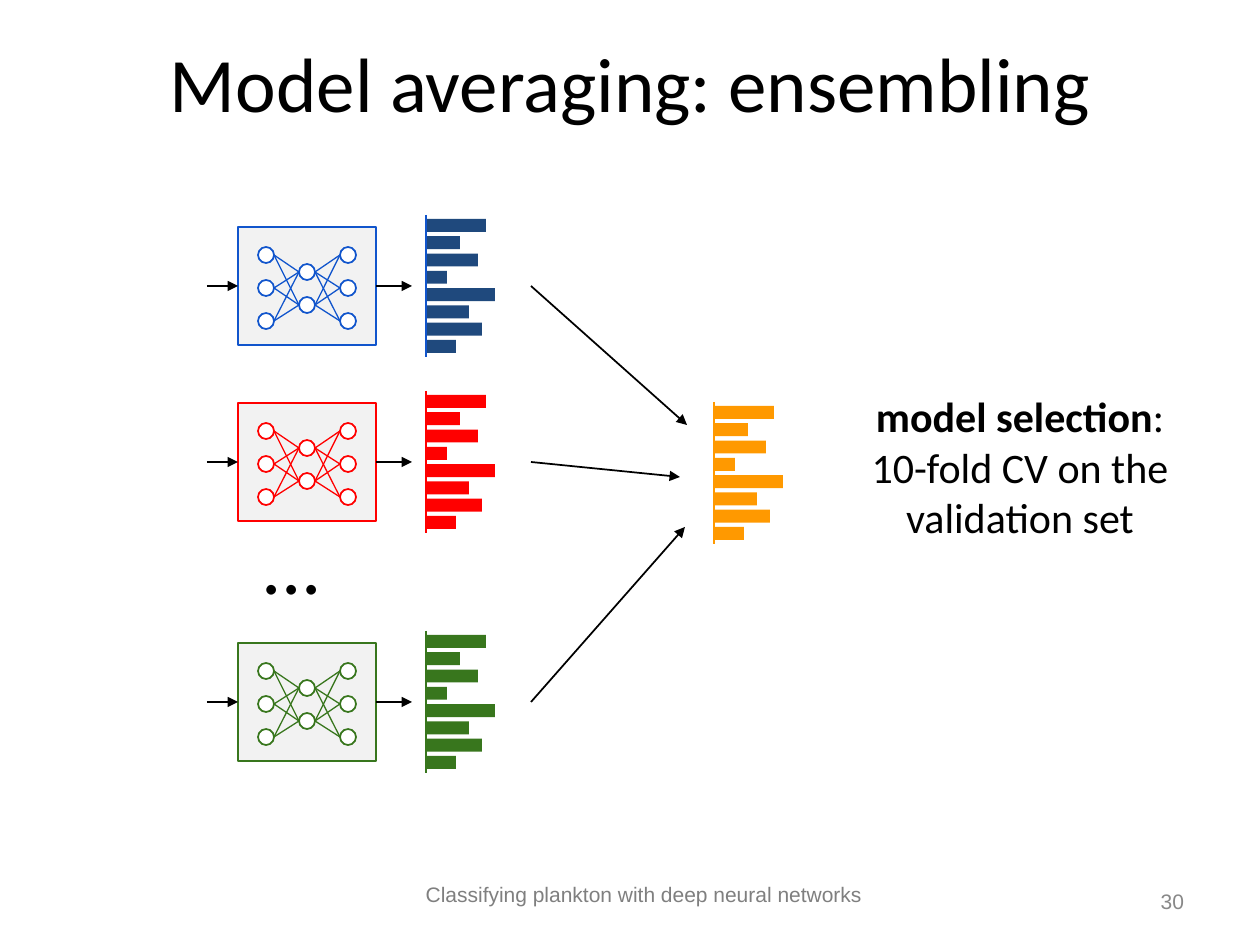
from itertools import product

from lxml import etree
from pptx import Presentation
from pptx.dml.color import RGBColor
from pptx.enum.shapes import MSO_CONNECTOR, MSO_SHAPE
from pptx.enum.text import MSO_ANCHOR, PP_ALIGN
from pptx.oxml.ns import qn
from pptx.util import Emu, Pt

PX_PER_INCH = 126
SLIDE_WIDTH, SLIDE_HEIGHT = 1260, 945

BLACK = RGBColor(0x00, 0x00, 0x00)
WHITE = RGBColor(0xFF, 0xFF, 0xFF)
BOX_GREY = RGBColor(0xF2, 0xF2, 0xF2)
FOOTER_GREY = RGBColor(0x7F, 0x7F, 0x7F)
NUMBER_GREY = RGBColor(0x88, 0x88, 0x88)
BLUE = RGBColor(0x11, 0x55, 0xCC)
NAVY = RGBColor(0x1F, 0x49, 0x7D)
RED = RGBColor(0xFF, 0x00, 0x00)
GREEN = RGBColor(0x38, 0x76, 0x1D)
ORANGE = RGBColor(0xFF, 0x99, 0x00)

RECTANGLE, OVAL = MSO_SHAPE.RECTANGLE, MSO_SHAPE.OVAL
STRAIGHT = MSO_CONNECTOR.STRAIGHT
TOP, MIDDLE = MSO_ANCHOR.TOP, MSO_ANCHOR.MIDDLE
CENTER, RIGHT = PP_ALIGN.CENTER, PP_ALIGN.RIGHT
LEFT_SIDE, RIGHT_SIDE = 1, 3

# Network box; vertical offsets are from the row's centre line
BOX_LEFT, BOX_WIDTH, BOX_HEIGHT = 238, 138, 118
NEURON = 16
INPUT_X, HIDDEN_X, OUTPUT_X = 258, 299, 340
OUTER_OFFSETS = (-31, 2, 35)
HIDDEN_OFFSETS = (-14, 19)

# Prediction bars
BAR_LENGTHS = (60, 34, 52, 21, 69, 43, 56, 30)
BAR_THICKNESS, BAR_SPAN = 13, 121
AXIS_HEIGHT = 142

# Centre line, outline colour, bar colour, end of the arrow to the average
MODELS = (
    (286, BLUE, NAVY, (687, 425)),
    (462, RED, RED, (680, 477)),
    (702, GREEN, GREEN, (685, 527)),
)


def px(value):
    return Emu(round(value * 914400 / PX_PER_INCH))


class SlideBuilder:
    def __init__(self, slide):
        self.slide = slide
        self.shapes = slide.shapes

    def shape(self, kind, left, top, width, height, fill, line=None, parent=None):
        shape = (parent or self.slide).shapes.add_shape(
            kind, px(left), px(top), px(width), px(height))
        shape.shadow.inherit = False
        shape.fill.solid()
        shape.fill.fore_color.rgb = fill
        if line is None:
            shape.line.fill.background()
        else:
            shape.line.color.rgb = line
            shape.line.width = Pt(1)
        return shape

    def line(self, start, end, color=BLACK, width=1, arrow=False, parent=None):
        connector = (parent or self.slide).shapes.add_connector(
            STRAIGHT, *map(px, start + end))
        connector.line.color.rgb = color
        connector.line.width = Pt(width)
        if arrow:
            outline = connector.line._get_or_add_ln()
            etree.SubElement(outline, qn("a:tailEnd"), type="triangle")
        etree.SubElement(connector._element.spPr, qn("a:effectLst"))
        return connector

    def text(self, runs, left, top, width, height, size, font="Calibri",
             color=BLACK, align=CENTER, anchor=TOP, inset_y=13):
        box = self.shapes.add_textbox(px(left), px(top), px(width), px(height))
        frame = box.text_frame
        frame.word_wrap = True
        frame.vertical_anchor = anchor
        frame.margin_left = frame.margin_right = px(13)
        frame.margin_top = frame.margin_bottom = px(inset_y)
        paragraph = frame.paragraphs[0]
        paragraph.alignment = align
        paragraph.font.name = font
        paragraph.font.size = Pt(size)
        paragraph.font.color.rgb = color
        for content, bold in runs:
            run = paragraph.add_run()
            run.text = content
            if bold:
                run.font.bold = True

    def network(self, center, color):
        group = self.shapes.add_group_shape()
        box = self.shape(RECTANGLE, BOX_LEFT, center - BOX_HEIGHT / 2,
                         BOX_WIDTH, BOX_HEIGHT, BOX_GREY, color, group)
        layers = ((INPUT_X, OUTER_OFFSETS), (HIDDEN_X, HIDDEN_OFFSETS),
                  (OUTPUT_X, OUTER_OFFSETS))
        for left, offsets in layers:
            for offset in offsets:
                self.shape(OVAL, left, center + offset - NEURON / 2,
                           NEURON, NEURON, WHITE, color, group)
        for (left, starts), (right, ends) in zip(layers, layers[1:]):
            for start, end in product(starts, ends):
                self.line((left + NEURON, center + start), (right, center + end),
                          color, 0.75, parent=group)
        return box

    def bars(self, axis_x, center, fill, axis_color):
        group = self.shapes.add_group_shape()
        top = center - AXIS_HEIGHT / 2
        pitch = BAR_SPAN / (len(BAR_LENGTHS) - 1)
        for index, length in enumerate(BAR_LENGTHS):
            self.shape(RECTANGLE, axis_x, top + 4 + index * pitch,
                       length, BAR_THICKNESS, fill, parent=group)
        self.line((axis_x, top), (axis_x, top + AXIS_HEIGHT), axis_color,
                  parent=group)


def main():
    presentation = Presentation()
    presentation.slide_width = px(SLIDE_WIDTH)
    presentation.slide_height = px(SLIDE_HEIGHT)
    slide = presentation.slides.add_slide(presentation.slide_layouts[6])
    builder = SlideBuilder(slide)

    # Title, footer and slide number
    builder.text([("Model averaging: ensembling", False)], -4, 23, 1269, 111, 44)
    builder.text([("Classifying plankton with deep neural networks", False)],
                 157, 876, 974, 38, 12, "Arial", FOOTER_GREY, inset_y=6)
    builder.text([("30", False)], 1074, 876, 123, 50, 12, "Arial", NUMBER_GREY,
                 RIGHT, MIDDLE, inset_y=6)

    # One row per model: input arrow, network, prediction, arrow to the average
    for center, color, bar_color, target in MODELS:
        box = builder.network(center, color)
        arrow_in = builder.line((207, center), (BOX_LEFT, center), arrow=True)
        arrow_in.end_connect(box, LEFT_SIDE)
        arrow_out = builder.line((BOX_LEFT + BOX_WIDTH, center), (412, center),
                                 arrow=True)
        arrow_out.begin_connect(box, RIGHT_SIDE)
        builder.bars(426, center, bar_color, color)
        builder.line((531, center), target, arrow=True)
    builder.text([("...", False)], 193, 501, 197, 98, 46)

    # Averaged prediction and how the models are chosen
    builder.bars(714, 473, ORANGE, ORANGE)
    builder.text([("model selection", True),
                  (": 10-fold CV on the validation set", False)],
                 847, 378, 346, 176, 24)

    presentation.save("out.pptx")


if __name__ == "__main__":
    main()
